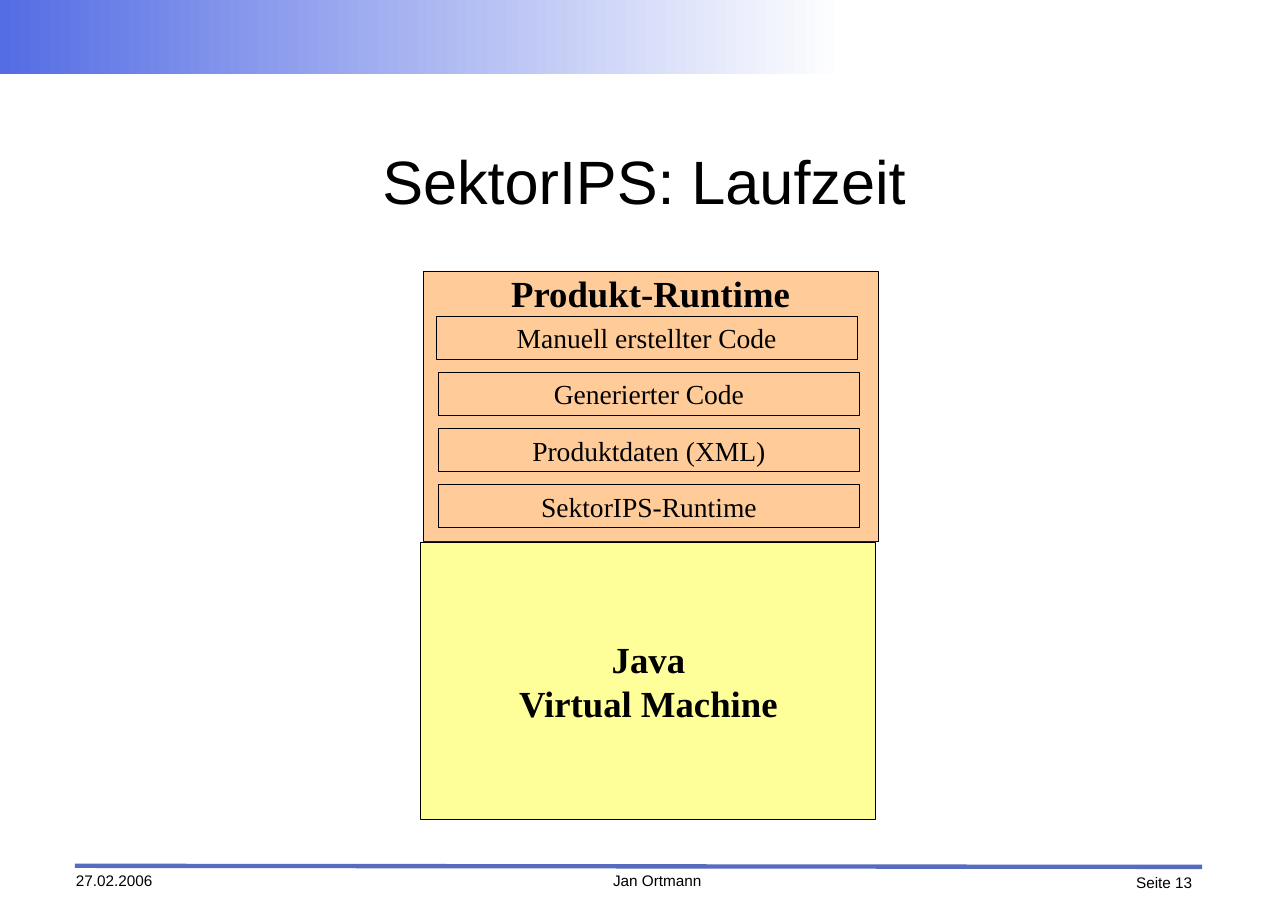
from pptx import Presentation
from pptx.dml.color import RGBColor
from pptx.enum.shapes import MSO_CONNECTOR as LINE, MSO_SHAPE as SHAPE
from pptx.enum.text import MSO_ANCHOR as ANCHOR, MSO_AUTO_SIZE as FIT, PP_ALIGN as ALIGN
from pptx.util import Inches, Pt
from lxml import etree

BLACK = RGBColor(0x00, 0x00, 0x00)
WHITE = RGBColor(0xFF, 0xFF, 0xFF)
BLUE = RGBColor(0x55, 0x6D, 0xE4)
RULE = RGBColor(0x57, 0x6B, 0xBF)
PEACH = RGBColor(0xFF, 0xCC, 0x99)
YELLOW = RGBColor(0xFF, 0xFF, 0x99)
SANS, SERIF = "Arial", "Times New Roman"
DRAW = "{http://schemas.openxmlformats.org/drawingml/2006/main}"


def write(shape, text, size, font, bold=False, align=ALIGN.CENTER, anchor=ANCHOR.MIDDLE):
    """Put text in a shape without margins, one paragraph a line."""
    frame = shape.text_frame
    frame.word_wrap = True
    frame.auto_size = FIT.NONE
    frame.vertical_anchor = anchor
    frame.margin_left = frame.margin_right = frame.margin_top = frame.margin_bottom = 0
    for i, line in enumerate(text.split("\n")):
        para = frame.add_paragraph() if i else frame.paragraphs[0]
        para.alignment = align
        run = para.add_run()
        run.text = line
        run.font.size = Pt(size)
        run.font.name = font
        run.font.bold = bold
        run.font.color.rgb = BLACK


def add_box(left, top, width, height, color):
    """Add a filled rectangle with a thin black outline."""
    box = slide.shapes.add_shape(SHAPE.RECTANGLE, Inches(left), Inches(top),
                                 Inches(width), Inches(height))
    box.shadow.inherit = False
    box.fill.solid()
    box.fill.fore_color.rgb = color
    box.line.color.rgb = BLACK
    box.line.width = Pt(0.5)
    return box


deck = Presentation()
deck.slide_width, deck.slide_height = Inches(11.69), Inches(8.27)
slide = deck.slides.add_slide(deck.slide_layouts[5])

# Header band
band = add_box(0, 0, 7.67, 0.67, BLUE)
band.line.fill.background()
band.fill.gradient()
band.fill.gradient_angle = 0
for stop, color in zip(band.fill.gradient_stops, (BLUE, WHITE)):
    stop.color.rgb = color

# Footer
rule = slide.shapes.add_connector(LINE.STRAIGHT, Inches(0.68), Inches(7.86),
                                  Inches(10.91), Inches(7.87))
rule.line.color.rgb = RULE
rule.line.width = Pt(2.83)
etree.SubElement(rule._element.spPr, DRAW + "effectLst")

for text, left, top, width, align in (
    ("27.02.2006", 0.69, 7.91, 1.17, ALIGN.LEFT),
    ("Jan Ortmann", 5.16, 7.91, 1.61, ALIGN.CENTER),
    ("Seite 13", 10.04, 7.93, 0.78, ALIGN.RIGHT),
):
    note = slide.shapes.add_textbox(Inches(left), Inches(top), Inches(width), Inches(0.2))
    write(note, text, 10, SANS, align=align, anchor=ANCHOR.TOP)

# Title
title = slide.shapes.title
title.left, title.top = Inches(1.19), Inches(0.95)
title.width, title.height = Inches(9.31), Inches(1.37)
write(title, "SektorIPS: Laufzeit", 40, SANS)

# Runtime stack on top of the virtual machine
runtime = add_box(3.84, 2.46, 4.13, 2.46, PEACH)
write(runtime, "Produkt-Runtime", 24, SERIF, bold=True, anchor=ANCHOR.TOP)
machine = add_box(3.82, 4.92, 4.13, 2.52, YELLOW)
write(machine, "Java\nVirtual Machine", 24, SERIF, bold=True)

layers = ("Manuell erstellter Code", "Generierter Code",
          "Produktdaten (XML)", "SektorIPS-Runtime")
for i, text in enumerate(layers):
    left = 3.98 if i else 3.96
    layer = add_box(left, 2.87 + i * 0.51, 3.82, 0.39, PEACH)
    write(layer, text, 18, SERIF)

deck.save("out.pptx")
